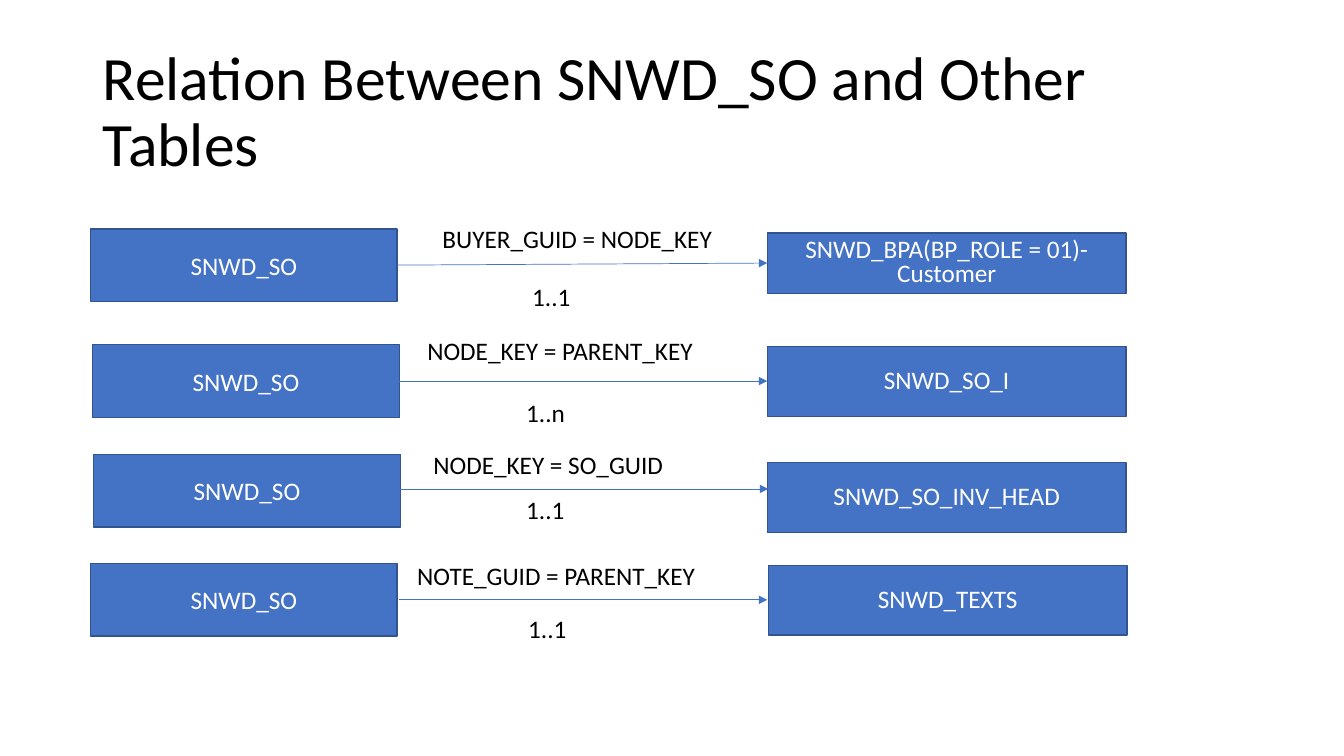
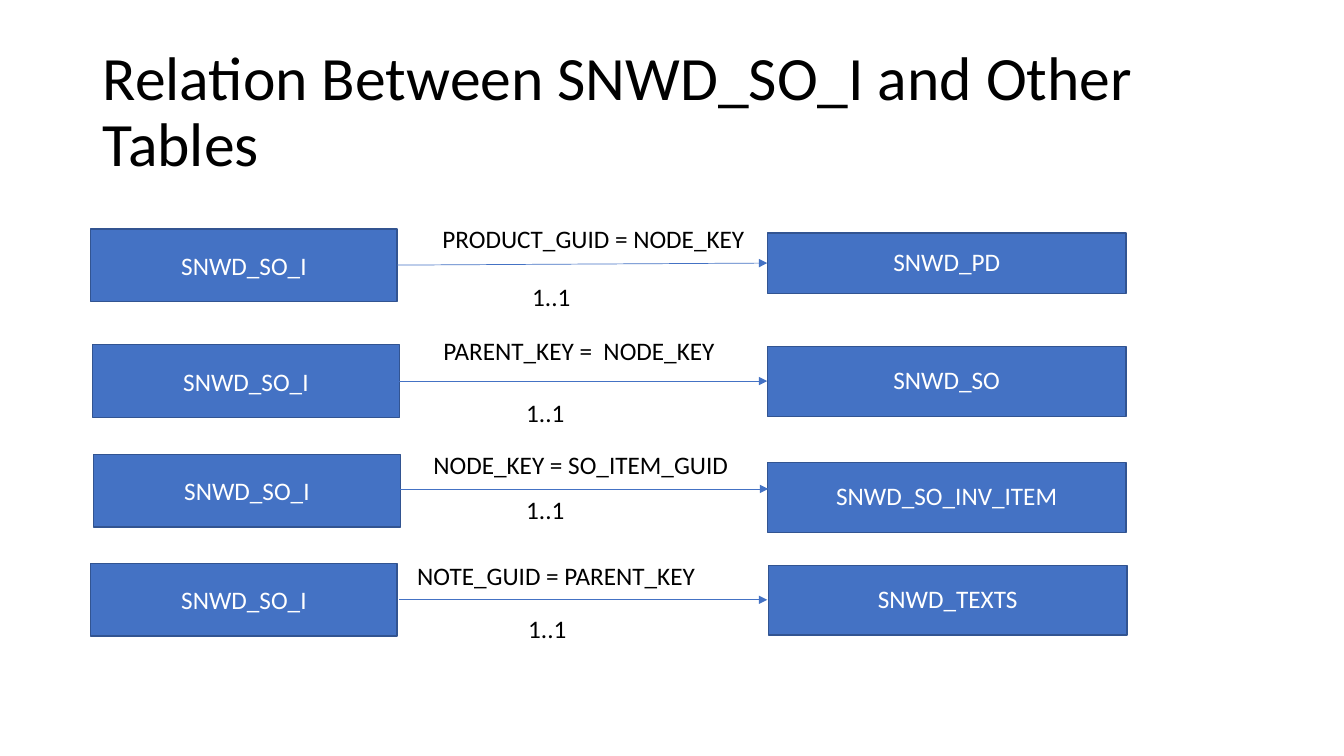
from dataclasses import dataclass

from lxml import etree
from pptx import Presentation
from pptx.dml.color import RGBColor
from pptx.enum.shapes import MSO_CONNECTOR, MSO_SHAPE
from pptx.enum.text import MSO_ANCHOR, MSO_AUTO_SIZE, PP_ALIGN
from pptx.oxml.ns import qn
from pptx.shapes.autoshape import Shape
from pptx.slide import Slide
from pptx.text.text import _Paragraph
from pptx.util import Inches, Pt

RECTANGLE = MSO_SHAPE.RECTANGLE
STRAIGHT = MSO_CONNECTOR.STRAIGHT
MIDDLE = MSO_ANCHOR.MIDDLE
CENTER = PP_ALIGN.CENTER
LEFT = PP_ALIGN.LEFT
NO_AUTOFIT = MSO_AUTO_SIZE.NONE

FONT = "Calibri"
COLORS = {
    "text": "000000",
    "box_text": "FFFFFF",
    "box": "4472C4",
    "border": "325491",
}
TITLE_AREA = (0.92, 0.4, 11.5, 1.45)
SOURCE_SIZE = (3.04, 0.72)
TARGET_WIDTH = 3.56
LABEL_HEIGHT = 0.4


@dataclass(frozen=True)
class Row:
    source_left: float
    source_top: float
    target_left: float
    target_top: float
    target_height: float
    arrow_start: tuple[float, float]
    arrow_end: tuple[float, float]
    join_top: float
    cardinality_left: float
    cardinality_top: float


@dataclass(frozen=True)
class Relation:
    join: str
    join_left: float
    cardinality: str
    target: str
    line_spacing: float = 0.9


@dataclass(frozen=True)
class Diagram:
    source: str
    relations: tuple[Relation, ...]


ROWS = (
    Row(0.9, 2.27, 7.61, 2.31, 0.6, (3.94, 2.63), (7.61, 2.61), 2.17, 5.18, 2.74),
    Row(0.92, 3.42, 7.61, 3.44, 0.69, (3.96, 3.78), (7.61, 3.78), 3.28, 5.12, 3.89),
    Row(0.93, 4.51, 7.61, 4.59, 0.69, (3.96, 4.85), (7.62, 4.85), 4.41, 5.12, 4.86),
    Row(0.9, 5.59, 7.62, 5.61, 0.69, (3.96, 5.95), (7.61, 5.95), 5.51, 5.14, 6.04),
)
NOTE_RELATION = Relation("NOTE_GUID = PARENT_KEY", 4.04, "1..1", "SNWD_TEXTS")
DIAGRAMS = (
    Diagram("SNWD_SO", (
        Relation("BUYER_GUID = NODE_KEY", 4.29, "1..1",
                 "SNWD_BPA(BP_ROLE = 01)-Customer", 0.8),
        Relation("NODE_KEY = PARENT_KEY", 4.14, "1..n", "SNWD_SO_I"),
        Relation("NODE_KEY = SO_GUID", 4.2, "1..1", "SNWD_SO_INV_HEAD"),
        NOTE_RELATION,
    )),
    Diagram("SNWD_SO_I", (
        Relation("PRODUCT_GUID = NODE_KEY", 4.29, "1..1", "SNWD_PD"),
        Relation("PARENT_KEY =  NODE_KEY", 4.3, "1..1", "SNWD_SO"),
        Relation("NODE_KEY = SO_ITEM_GUID", 4.2, "1..1", "SNWD_SO_INV_ITEM"),
        NOTE_RELATION,
    )),
)


def color(name: str) -> RGBColor:
    return RGBColor.from_string(COLORS[name])


def add_text(paragraph: _Paragraph, text: str, color_name: str, size: float = 18) -> None:
    run = paragraph.add_run()
    run.text = text
    run.font.name = FONT
    run.font.size = Pt(size)
    run.font.color.rgb = color(color_name)


def place(shape: Shape, left: float, top: float, width: float, height: float) -> None:
    shape.left, shape.top = Inches(left), Inches(top)
    shape.width, shape.height = Inches(width), Inches(height)


def add_title(slide: Slide, text: str) -> None:
    title = slide.shapes.title
    place(title, *TITLE_AREA)
    title.text_frame.auto_size = NO_AUTOFIT
    title.text_frame.vertical_anchor = MIDDLE
    paragraph = title.text_frame.paragraphs[0]
    paragraph.alignment = LEFT
    paragraph.line_spacing = 0.9
    add_text(paragraph, text, "text", 44)


def format_box(box: Shape, text: str, line_spacing: float) -> None:
    box.fill.solid()
    box.fill.fore_color.rgb = color("box")
    box.line.color.rgb = color("border")
    box.line.width = Pt(1)
    box.shadow.inherit = False
    box.text_frame.word_wrap = True
    box.text_frame.auto_size = NO_AUTOFIT
    box.text_frame.vertical_anchor = MIDDLE
    paragraph = box.text_frame.paragraphs[0]
    paragraph.alignment = CENTER
    paragraph.line_spacing = line_spacing
    add_text(paragraph, text, "box_text")


def add_box(slide: Slide, left: float, top: float, width: float, height: float,
            text: str, line_spacing: float = 1.0) -> None:
    box = slide.shapes.add_shape(
        RECTANGLE, Inches(left), Inches(top), Inches(width), Inches(height))
    format_box(box, text, line_spacing)


def fill_body(slide: Slide, row: Row, relation: Relation) -> None:
    body = slide.placeholders[1]
    place(body, row.target_left, row.target_top, TARGET_WIDTH, row.target_height)
    format_box(body, relation.target, relation.line_spacing)
    paragraph = body.text_frame.paragraphs[0]
    paragraph.space_before = Pt(10)
    properties = paragraph._p.get_or_add_pPr()
    properties.set("marL", "0")
    properties.set("indent", "0")
    etree.SubElement(properties, qn("a:buNone"))


def add_label(slide: Slide, left: float, top: float, width: float, text: str) -> None:
    label = slide.shapes.add_textbox(
        Inches(left), Inches(top), Inches(width), Inches(LABEL_HEIGHT))
    label.text_frame.word_wrap = True
    add_text(label.text_frame.paragraphs[0], text, "text")


def add_arrow(slide: Slide, start: tuple[float, float], end: tuple[float, float]) -> None:
    arrow = slide.shapes.add_connector(
        STRAIGHT, *(Inches(value) for value in start + end))
    arrow.line.color.rgb = color("box")
    arrow.line.width = Pt(0.5)
    etree.SubElement(arrow.line._get_or_add_ln(), qn("a:tailEnd"), type="triangle")
    etree.SubElement(arrow._element.spPr, qn("a:effectLst"))


def add_diagram(presentation: Presentation, diagram: Diagram) -> None:
    slide = presentation.slides.add_slide(presentation.slide_layouts[1])
    add_title(slide, f"Relation Between {diagram.source} and Other Tables")
    fill_body(slide, ROWS[0], diagram.relations[0])
    for index, (row, relation) in enumerate(zip(ROWS, diagram.relations)):
        add_box(slide, row.source_left, row.source_top, *SOURCE_SIZE, diagram.source)
        if index > 0:
            add_box(slide, row.target_left, row.target_top, TARGET_WIDTH,
                    row.target_height, relation.target, relation.line_spacing)
        add_arrow(slide, row.arrow_start, row.arrow_end)
        add_label(slide, relation.join_left, row.join_top, 3.3, relation.join)
        add_label(slide, row.cardinality_left, row.cardinality_top, 1.9,
                  relation.cardinality)


def main() -> None:
    presentation = Presentation()
    presentation.slide_width = Inches(13.33)
    presentation.slide_height = Inches(7.5)
    for diagram in DIAGRAMS:
        add_diagram(presentation, diagram)
    presentation.save("out.pptx")


if __name__ == "__main__":
    main()
